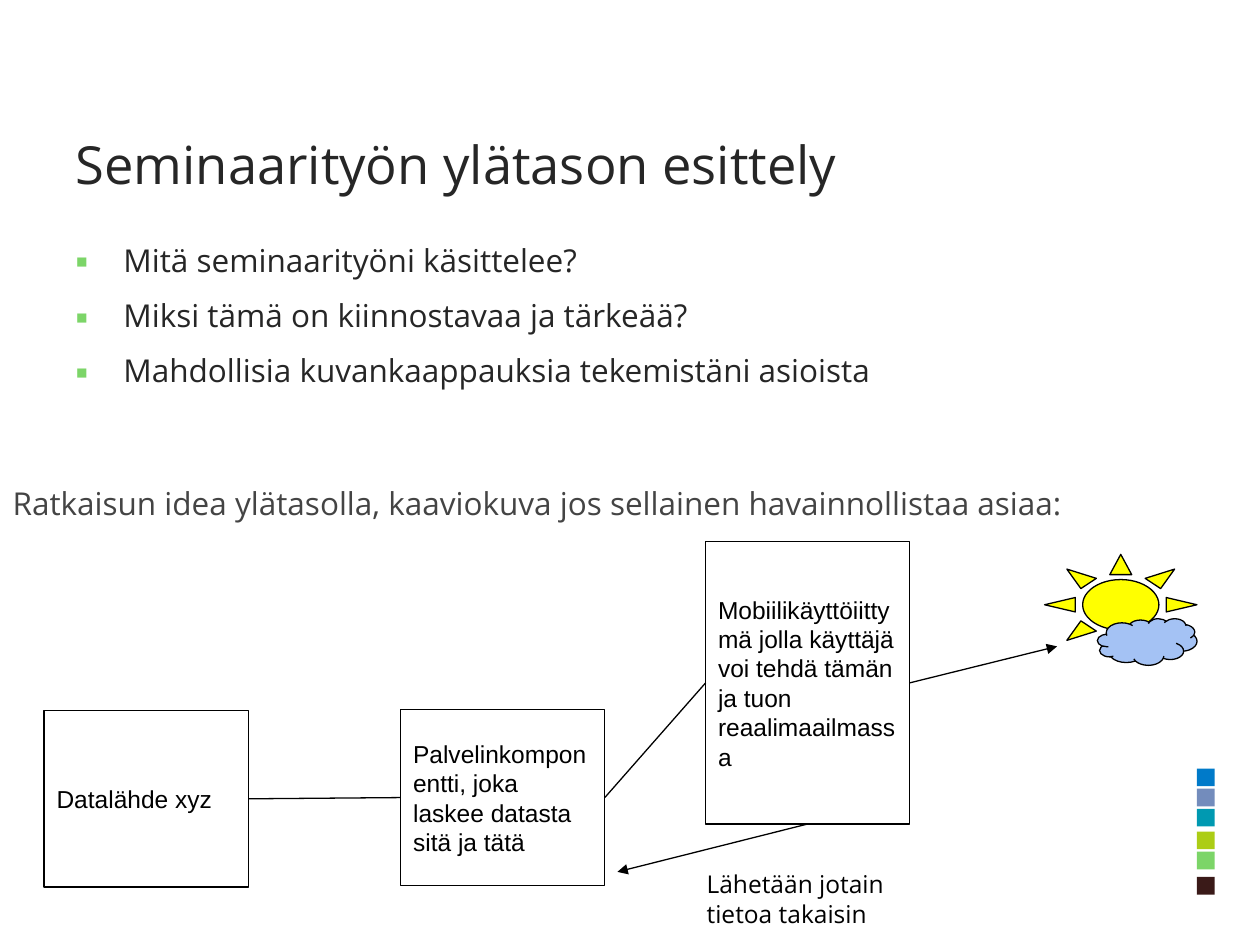
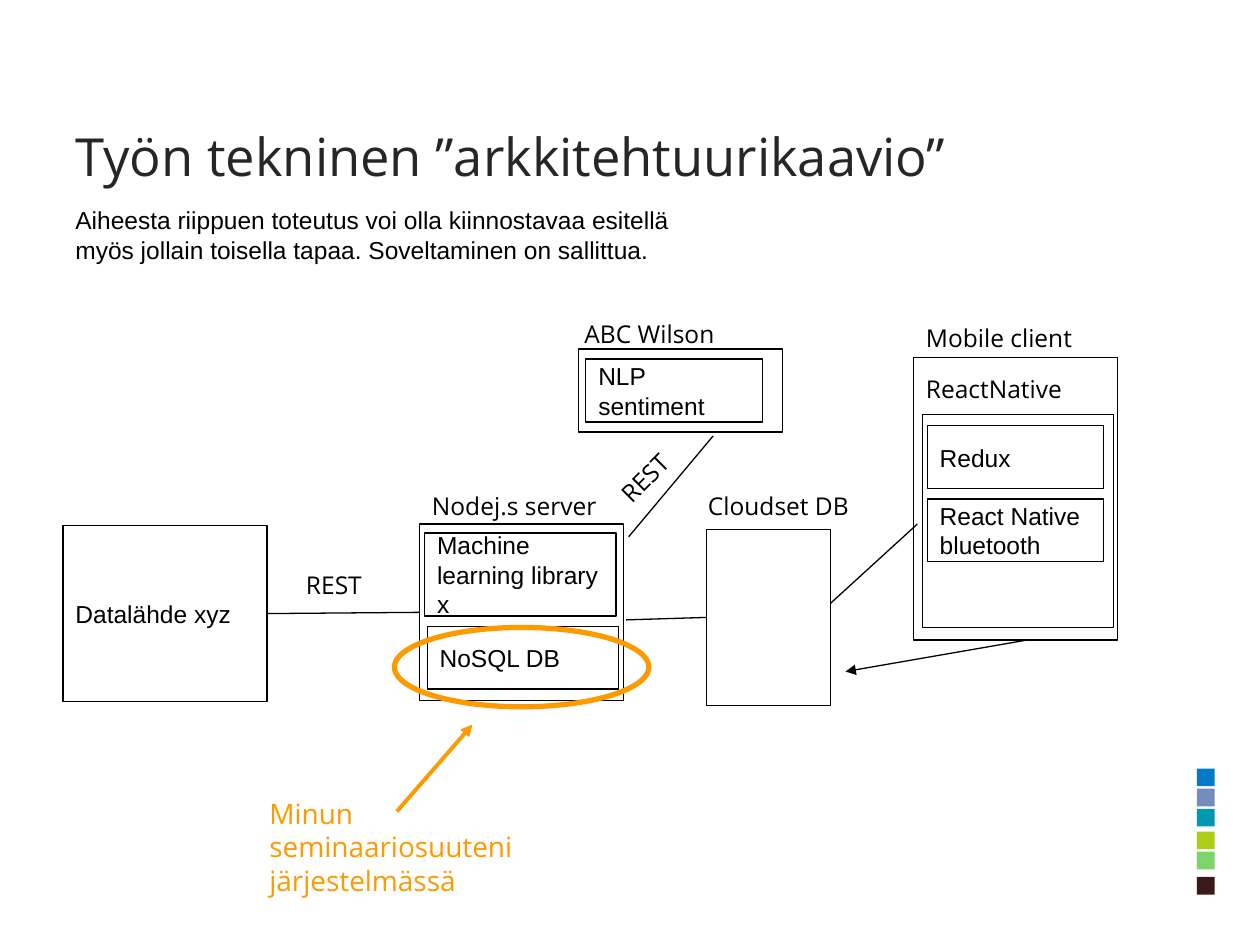
import dataclasses
import pptx
import pptx.dml.color
import pptx.enum.shapes
import pptx.enum.text
import pptx.oxml.ns
import pptx.util
from lxml import etree

COLS, ROWS = 100, 75
INK, BLACK, GREEN, ORANGE = "262626", "000000", "7CD568", "FF9900"
SANS, ARIAL = "Open Sans", "Arial"
SHAPE = pptx.enum.shapes.MSO_SHAPE
ANCHOR = pptx.enum.text.MSO_ANCHOR
FIT = pptx.enum.text.MSO_AUTO_SIZE
LABEL_H = 3.1

prs = pptx.Presentation()
prs.slide_width = pptx.util.Inches(10)
prs.slide_height = pptx.util.Inches(7.5)


@dataclasses.dataclass
class Box:
    x: float
    y: float
    w: float
    h: float

    def inner(self, dx, dy, w, h):
        return Box(self.x + dx, self.y + dy, w, h)

    def point(self, across, down):
        return self.x + across * self.w, self.y + down * self.h

    def lengths(self):
        return col(self.x), row(self.y), col(self.w), row(self.h)


def col(n):
    return round(n * prs.slide_width / COLS)


def row(n):
    return round(n * prs.slide_height / ROWS)


def rgb(value):
    return pptx.dml.color.RGBColor.from_string(value)


def add_xml(parent, tag, **attrs):
    return etree.SubElement(parent, pptx.oxml.ns.qn(tag), attrs)


def write(sp, *lines, size=14, font=ARIAL, color=BLACK, anchor=ANCHOR.TOP,
          pad=1, fit=FIT.NONE, spacing=None, before=0):
    tf = sp.text_frame
    tf.word_wrap = True
    tf.auto_size = fit
    tf.vertical_anchor = anchor
    tf.margin_left = tf.margin_right = col(1)
    tf.margin_top = tf.margin_bottom = row(pad)
    for i, line in enumerate(lines):
        p = tf.add_paragraph() if i else tf.paragraphs[0]
        p.alignment = pptx.enum.text.PP_ALIGN.LEFT
        p.space_before = pptx.util.Pt(before)
        if spacing:
            p.line_spacing = spacing
        r = p.add_run()
        r.text = line
        r.font.size = pptx.util.Pt(size)
        r.font.name = font
        r.font.color.rgb = rgb(color)
    return sp


def shape(s, box, kind=SHAPE.RECTANGLE, fill=None, line=BLACK, width=0.75, text=None):
    sp = s.shapes.add_shape(kind, *box.lengths())
    sp.shadow.inherit = False
    if fill:
        sp.fill.solid()
        sp.fill.fore_color.rgb = rgb(fill)
    else:
        sp.fill.background()
    if line:
        sp.line.color.rgb = rgb(line)
        sp.line.width = pptx.util.Pt(width)
    else:
        sp.line.fill.background()
    if text:
        write(sp, text, anchor=ANCHOR.MIDDLE)
    return sp


def label(s, box, text, **fmt):
    return write(s.shapes.add_textbox(*box.lengths()), text, **{"font": SANS, **fmt})


def link(s, start, end, color=BLACK, width=0.75, arrow=False):
    cx = s.shapes.add_connector(pptx.enum.shapes.MSO_CONNECTOR.STRAIGHT,
                                col(start[0]), row(start[1]), col(end[0]), row(end[1]))
    cx.line.color.rgb = rgb(color)
    cx.line.width = pptx.util.Pt(width)
    spPr = cx.element.spPr
    if arrow:
        add_xml(spPr.find(pptx.oxml.ns.qn("a:ln")), "a:tailEnd", type="triangle")
    add_xml(spPr, "a:effectLst")


def place(sp, box):
    sp.left, sp.top, sp.width, sp.height = box.lengths()
    return sp


def title(s, box, text):
    write(place(s.shapes.title, box), text, size=30, font=SANS, color=INK,
          anchor=ANCHOR.MIDDLE, pad=0.5)


def set_bullet(p, indent, char=None):
    pPr = p._p.get_or_add_pPr()
    pPr.set("marL", str(col(indent)))
    pPr.set("indent", str(-col(indent)))
    if char:
        add_xml(add_xml(pPr, "a:buClr"), "a:srgbClr", val=GREEN)
        add_xml(pPr, "a:buFont", typeface=SANS)
        add_xml(pPr, "a:buChar", char=char)
    else:
        add_xml(pPr, "a:buNone")


def body(sp, box, *lines, indent=0, char=None, **fmt):
    write(place(sp, box), *lines, size=18, font=SANS, pad=0.5, **fmt)
    for p in sp.text_frame.paragraphs:
        set_bullet(p, indent, char)


def master_squares(s, box):
    squares = {"007AC9": 0, "738CBC": 1.6, "0099B1": 3.2,
               "ACCD15": 5, GREEN: 6.6, "3A1A18": 8.6}
    tree = prs.slide_master.shapes.element
    for i, (color, dy) in enumerate(squares.items()):
        sp = shape(s, box.inner(0, dy, box.w, box.w), fill=color, line=None)
        sp.element.nvSpPr.cNvPr.set("id", str(100 + i))
        tree.append(sp.element)


def source_and_server(s, box, server_text=None):
    source = box.inner(0, 0.1, 16.2, 14)
    server = box.inner(box.w - 16.2, 0, 16.2, 14)
    shape(s, source, text="Datalähde xyz")
    shape(s, server, text=server_text)
    link(s, source.point(1, 0.5), server.point(0, 0.5))
    return server


def sun_and_cloud(s, box):
    shape(s, box.inner(0, 0, box.w, 8), SHAPE.SUN, fill="FFFF00")
    shape(s, box.inner(box.w - 7.9, box.h - 3.7, 7.9, 3.7), SHAPE.CLOUD, fill="A4C2F4")


def idea_diagram(s, box):
    server = source_and_server(s, box.inner(0, 13.3, 44.5, 14.1),
                               "Palvelinkomponentti, joka laskee datasta sitä ja tätä")
    mobile = box.inner(52.5, 0, 16.2, 22.4)
    shape(s, mobile, text="Mobiilikäyttöiittymä jolla käyttäjä voi tehdä tämän "
                          "ja tuon reaalimaailmassa")
    link(s, server.point(1, 0.5), mobile.point(0, 0.5))
    sun = box.inner(79.4, 1, 12.1, 8.8)
    sun_and_cloud(s, sun)
    link(s, mobile.point(1, 0.5), (sun.x + 1, sun.y + 7.3), arrow=True)
    link(s, mobile.point(0.5, 1), (server.x + 17.2, server.y + 12.9), arrow=True)
    label(s, box.inner(51.6, 25, 20.5, 3.7), "Lähetään jotain tietoa takaisin")


def node(s, box, name, dx=0, rise=3.8):
    shape(s, box)
    label(s, box.inner(dx, -rise, 16.2, LABEL_H), name)


def server_parts(s, box):
    label(s, box.inner(0, -3.6, box.w, LABEL_H), "Nodej.s server")
    shape(s, box.inner(0.4, 0.7, 15.2, 6.6), text="Machine learning library x")
    shape(s, box.inner(0.6, 8.1, 15.2, 5), text="NoSQL DB")


def language_service(s, box):
    node(s, box, "ABC Wilson", dx=-0.5, rise=3.4)
    shape(s, box.inner(0.6, 0.8, 14, 5), text="NLP sentiment")


def client(s, box):
    node(s, box, "Mobile client")
    label(s, box.inner(0, 0.3, box.w, LABEL_H), "ReactNative")
    frame = box.inner(0.7, 4.5, 15.2, 16.9)
    shape(s, frame)
    for i, text in enumerate(("Redux", "React Native bluetooth")):
        shape(s, frame.inner(0.4, 0.9 + 5.8 * i, 14, 5), text=text)


def own_share(s, box):
    shape(s, box.inner(10.9, 0, 20.2, 6.3), SHAPE.OVAL, line=ORANGE, width=3)
    link(s, (box.x + 11.1, box.y + 14.6), (box.x + 17.1, box.y + 7.7),
         color=ORANGE, width=2.25, arrow=True)
    label(s, box.inner(0, 12.4, 23.3, LABEL_H),
          "Minun seminaariosuuteni järjestelmässä", size=16, color=ORANGE)


def architecture(s, box):
    server = source_and_server(s, box.inner(0, 13.9, 44.5, 14.1))
    server_parts(s, server)
    service = box.inner(40.9, 0, 16.2, 6.6)
    language_service(s, service)
    database = box.inner(51.1, 14.3, 9.8, 14)
    node(s, database, "Cloudset DB", dx=-0.9, rise=4)
    phone = box.inner(67.5, 0.7, 16.2, 22.4)
    client(s, phone)
    link(s, (server.x + 16.4, server.y + 7.6), database.point(0, 0.5))
    link(s, (server.x + 16.6, server.y + 1), (service.x + 10.7, service.y + 6.9))
    link(s, (database.x + 9.8, database.y + 5.9), (phone.x + 0.3, phone.y + 13.2))
    link(s, (phone.x + 9, phone.y + 22.4), (database.x + 11, database.y + 11.3), arrow=True)
    label(s, box.inner(18.3, 16.5, 7.9, LABEL_H), "REST")
    label(s, box.inner(42.3, 7.7, 7.9, LABEL_H), "REST").rotation = 315
    own_share(s, box.inner(15.4, 22.1, 31.1, 15.5))


def idea_slide():
    s = prs.slides.add_slide(prs.slide_layouts[3])
    master_squares(s, Box(95, 61, 1.4, 10))
    title(s, Box(5, 7.1, 90, 11.7), "Seminaarityön ylätason esittely")
    body(s.placeholders[1], Box(5, 17.7, 90, 20.9),
         "Mitä seminaarityöni käsittelee?",
         "Miksi tämä on kiinnostavaa ja tärkeää?",
         "Mahdollisia kuvankaappauksia tekemistäni asioista",
         color=INK, indent=3.8, char="▪", spacing=1.3, before=3.6)
    body(s.placeholders[2], Box(0, 37.5, 90, 11.7),
         "Ratkaisun idea ylätasolla, kaaviokuva jos sellainen havainnollistaa asiaa:",
         color="444444", spacing=1.15)
    idea_diagram(s, Box(3.5, 43, 91.5, 28.7))


def architecture_slide():
    s = prs.slides.add_slide(prs.slide_layouts[5])
    title(s, Box(5, 6.5, 90, 11.7), "Työn tekninen ”arkkitehtuurikaavio”")
    architecture(s, Box(5, 27.7, 83.7, 37.6))
    label(s, Box(5, 15.8, 50, 5.7),
          "Aiheesta riippuen toteutus voi olla kiinnostavaa esitellä myös jollain "
          "toisella tapaa. Soveltaminen on sallittua.",
          font=ARIAL, pad=0.5, fit=FIT.SHAPE_TO_FIT_TEXT)


idea_slide()
architecture_slide()
prs.save("out.pptx")
